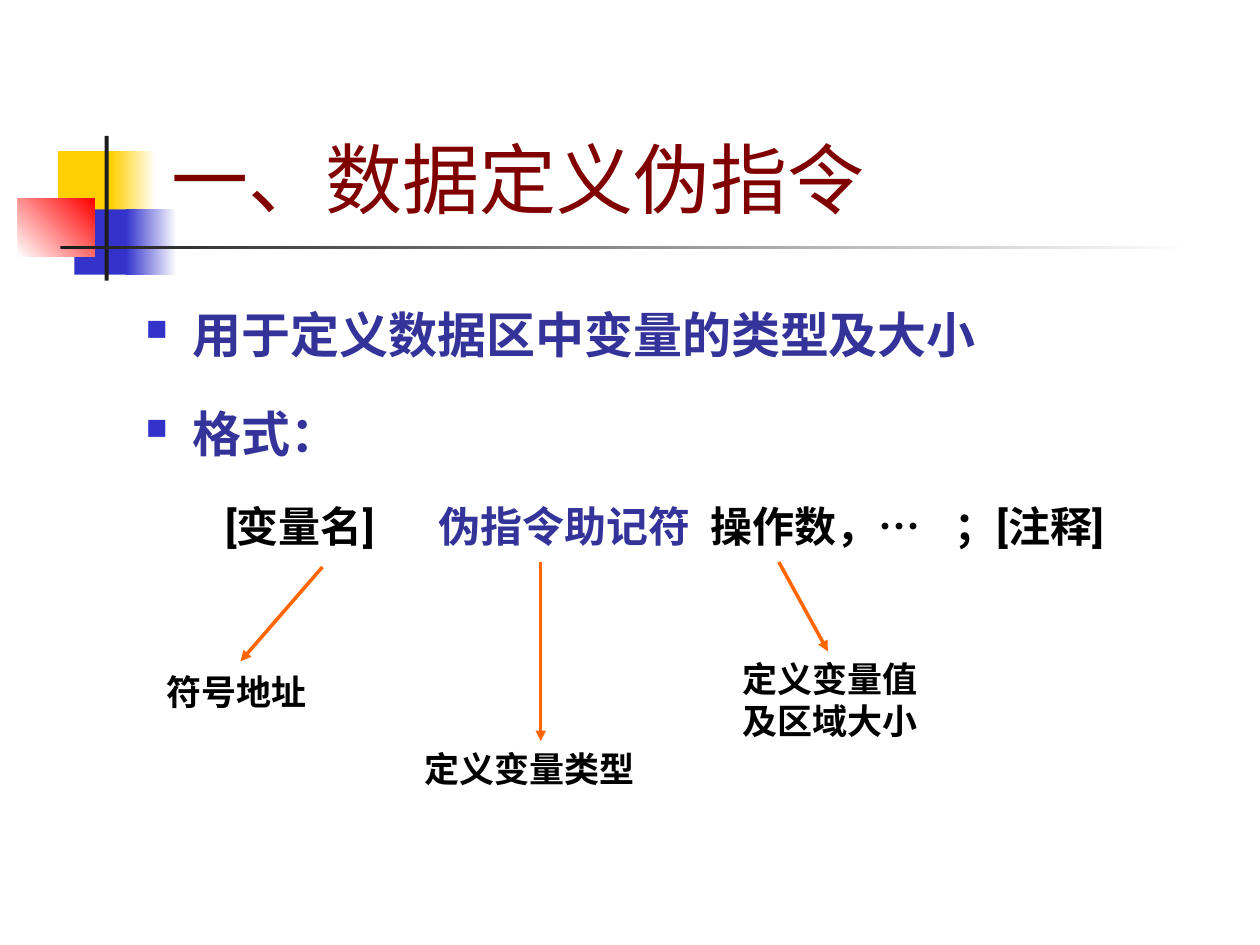
from dataclasses import dataclass
from typing import Optional

from lxml.etree import SubElement
from pptx import Presentation
from pptx.dml.color import RGBColor
from pptx.enum.shapes import MSO_CONNECTOR, MSO_SHAPE
from pptx.enum.text import MSO_ANCHOR
from pptx.oxml.ns import qn
from pptx.util import Cm, Pt


@dataclass(frozen=True)
class Theme:
    title: str = "800000"
    emphasis: str = "333399"
    text: str = "000000"
    arrow: str = "FF6600"
    yellow: str = "FFCF01"
    blue: str = "3333CC"
    red: str = "FF0000"
    rule: str = "1C1C1C"
    paper: str = "FFFFFF"
    sans: str = "Roboto"
    serif: str = "Times New Roman"
    ellipsis: str = "Arial"
    title_size: int = 44
    point_size: int = 28
    syntax_size: int = 24
    label_size: int = 20


THEME = Theme()


@dataclass(frozen=True)
class Box:
    left: float
    top: float
    width: float
    height: float

    def lengths(self) -> tuple:
        return Cm(self.left), Cm(self.top), Cm(self.width), Cm(self.height)


@dataclass(frozen=True)
class Block:
    box: Box
    color: str
    fade_to: Optional[str] = None
    angle: float = 0


@dataclass(frozen=True)
class Label:
    box: Box
    text: str


@dataclass(frozen=True)
class Arrow:
    start: tuple[float, float]
    end: tuple[float, float]


@dataclass(frozen=True)
class Piece:
    text: str
    color: Optional[str] = None
    font: Optional[str] = None


@dataclass(frozen=True)
class Line:
    pieces: tuple[Piece, ...]
    size: int
    color: str
    before: float
    after: float
    bullet: bool = False
    tabs: tuple[float, ...] = ()


BLOCKS = (
    Block(Box(1.17, 3.05, 1.22, 1.32), THEME.yellow),
    Block(Box(2.24, 3.05, 0.91, 1.32), THEME.yellow, THEME.paper),
    Block(Box(1.5, 4.22, 1.17, 1.32), THEME.blue),
    Block(Box(2.54, 4.22, 1.02, 1.32), THEME.blue, THEME.paper),
    Block(Box(0.36, 4.01, 1.55, 1.17), THEME.paper, THEME.red, 45),
    Block(Box(2.11, 2.74, 0.08, 2.92), THEME.rule),
    Block(Box(1.22, 4.95, 22.86, 0.08), THEME.rule, THEME.paper),
)

LINES = (
    Line((Piece("用于定义数据区中变量的类型及大小"),),
         THEME.point_size, THEME.emphasis, 0, 14, bullet=True),
    Line((Piece("格式："),),
         THEME.point_size, THEME.emphasis, 5.6, 1.4, bullet=True),
    Line((Piece("\t[变量名]\t"),
          Piece("伪指令助记符", THEME.emphasis),
          Piece("\t操作数，"),
          Piece("…", font=THEME.ellipsis),
          Piece("\t；[注释]")),
         THEME.syntax_size, THEME.text, 18, 1.2,
         tabs=(1.6, 5.9, 11.38, 16.3)),
)

LABELS = (
    Label(Box(3.1, 13.39, 3.66, 1.09), "符号地址"),
    Label(Box(8.31, 14.94, 5, 1.09), "定义变量类型"),
    Label(Box(14.71, 13.13, 4.6, 1.96), "定义变量值及区域大小"),
)

ARROWS = (
    Arrow((6.5, 11.43), (4.85, 13.33)),
    Arrow((10.9, 11.33), (10.9, 14.94)),
    Arrow((15.7, 11.33), (16.69, 13.13)),
)


def rgb(color: str) -> RGBColor:
    return RGBColor.from_string(color)


def style(font, name: str, size: int, color: str, bold: bool = True) -> None:
    font.name = name
    font.size = Pt(size)
    font.bold = bold
    font.color.rgb = rgb(color)


def draw_block(slide, block: Block) -> None:
    shape = slide.shapes.add_shape(MSO_SHAPE.RECTANGLE, *block.box.lengths())
    shape.shadow.inherit = False
    shape.line.fill.background()
    if block.fade_to is None:
        shape.fill.solid()
        shape.fill.fore_color.rgb = rgb(block.color)
        return
    shape.fill.gradient()
    shape.fill.gradient_angle = block.angle
    for stop, color in zip(shape.fill.gradient_stops, (block.color, block.fade_to)):
        stop.color.rgb = rgb(color)


def add_frame(slide, box: Box):
    frame = slide.shapes.add_textbox(*box.lengths()).text_frame
    frame.word_wrap = True
    return frame


def draw_text(slide, label: Label, name: str, size: int, color: str, bold: bool):
    frame = add_frame(slide, label.box)
    paragraph = frame.paragraphs[0]
    paragraph.text = label.text
    style(paragraph.font, name, size, color, bold)
    return frame


def add_bullet(properties) -> None:
    properties.set("marL", str(Cm(0.95)))
    properties.set("indent", str(Cm(-0.95)))
    SubElement(SubElement(properties, qn("a:buClr")), qn("a:srgbClr"), val=THEME.blue)
    SubElement(properties, qn("a:buSzPct"), val="60000")
    SubElement(properties, qn("a:buFont"), typeface="Wingdings")
    SubElement(properties, qn("a:buChar"), char="n")


def add_tabs(properties, positions: tuple[float, ...]) -> None:
    stops = SubElement(properties, qn("a:tabLst"))
    for position in positions:
        SubElement(stops, qn("a:tab"), pos=str(Cm(position)), algn="l")


def write_line(paragraph, line: Line) -> None:
    properties = paragraph._p.get_or_add_pPr()
    if line.bullet:
        add_bullet(properties)
    if line.tabs:
        add_tabs(properties, line.tabs)
    paragraph.line_spacing = 1.1
    paragraph.space_before = Pt(line.before)
    paragraph.space_after = Pt(line.after)
    style(paragraph.font, THEME.sans, line.size, line.color)
    for piece in line.pieces:
        run = paragraph.add_run()
        run.text = piece.text
        if piece.color:
            run.font.color.rgb = rgb(piece.color)
        if piece.font:
            run.font.name = piece.font


def draw_arrow(slide, arrow: Arrow) -> None:
    ends = [Cm(value) for value in (*arrow.start, *arrow.end)]
    connector = slide.shapes.add_connector(MSO_CONNECTOR.STRAIGHT, *ends)
    connector.line.color.rgb = rgb(THEME.arrow)
    connector.line.width = Pt(2)
    SubElement(connector.line._get_or_add_ln(), qn("a:tailEnd"), type="triangle")
    SubElement(connector._element.spPr, qn("a:effectLst"))


def main() -> None:
    deck = Presentation()
    deck.slide_width, deck.slide_height = Cm(25.4), Cm(19.05)
    slide = deck.slides.add_slide(deck.slide_layouts[6])
    for block in BLOCKS:
        draw_block(slide, block)
    heading = Label(Box(3.2, 0.58, 16.89, 4.06), "一、数据定义伪指令")
    title = draw_text(slide, heading, THEME.sans, THEME.title_size, THEME.title, False)
    title.vertical_anchor = MSO_ANCHOR.BOTTOM
    body = add_frame(slide, Box(2.69, 5.89, 21.59, 5.84))
    for index, line in enumerate(LINES):
        write_line(body.add_paragraph() if index else body.paragraphs[0], line)
    for label in LABELS:
        draw_text(slide, label, THEME.serif, THEME.label_size, THEME.text, True)
    for arrow in ARROWS:
        draw_arrow(slide, arrow)
    deck.save("out.pptx")


if __name__ == "__main__":
    main()
